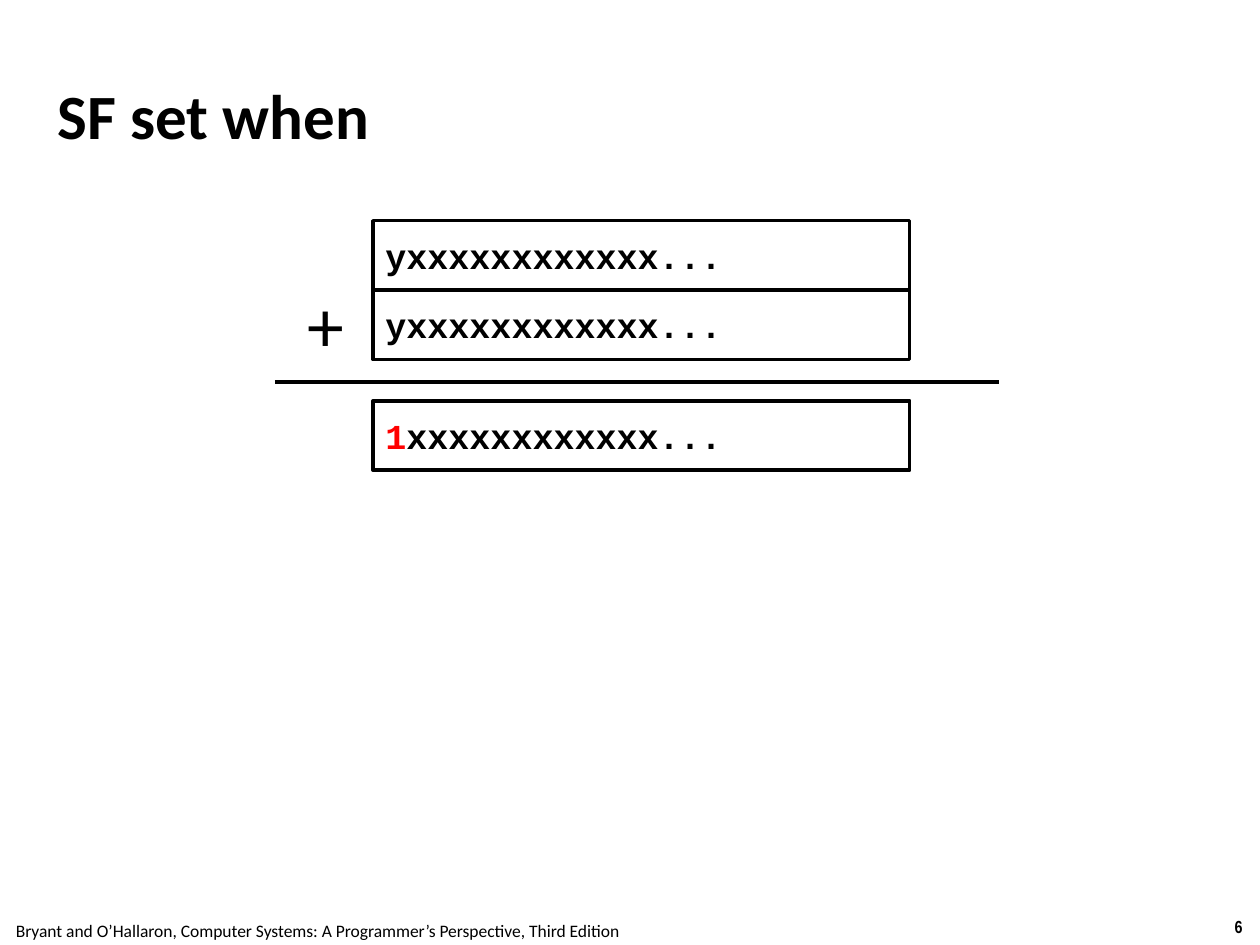
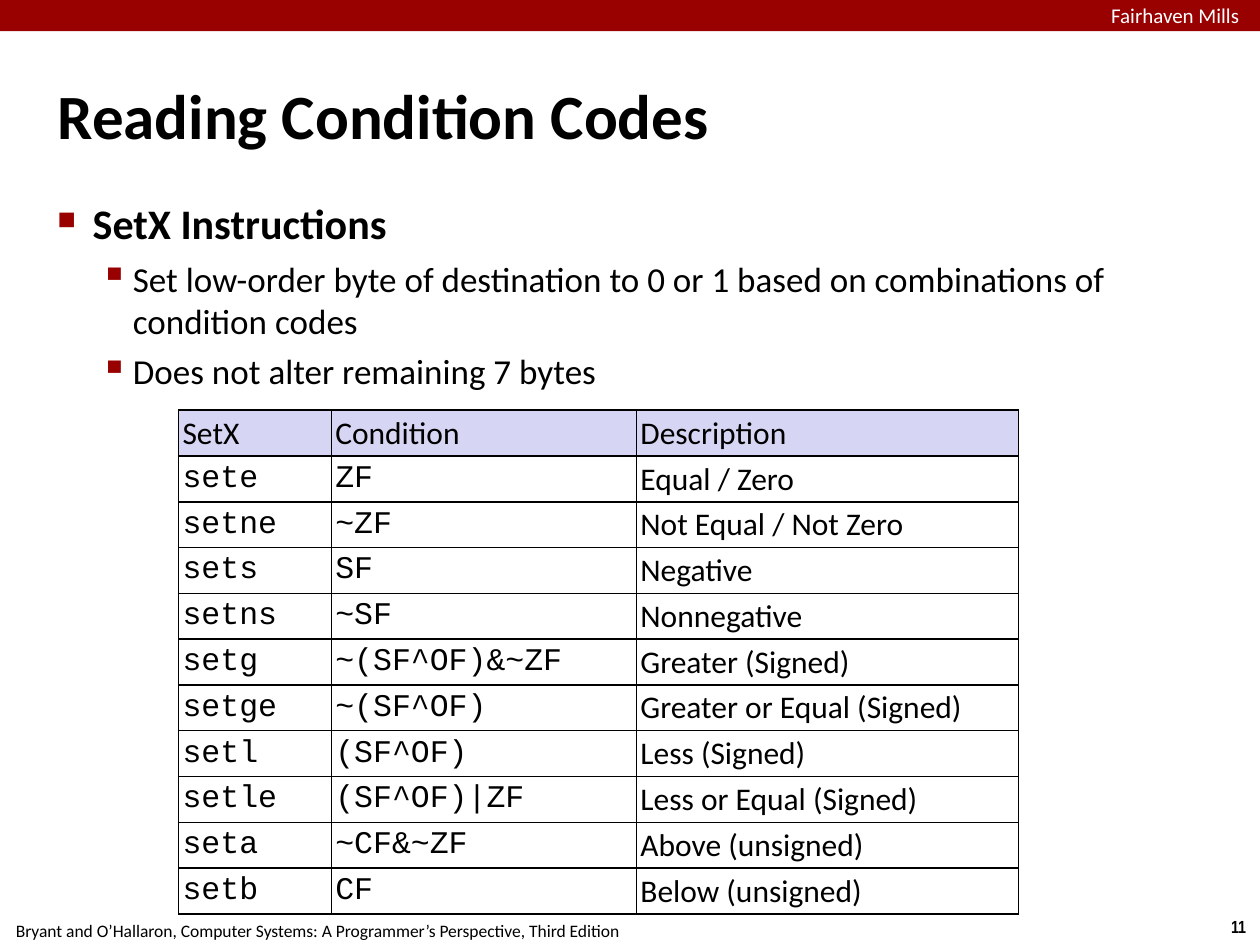
from lxml import etree
from pptx import Presentation
from pptx.dml.color import RGBColor
from pptx.enum import shapes, text
from pptx.oxml.ns import qn
from pptx.util import Cm, Pt

BLACK = RGBColor(0x00, 0x00, 0x00)
WHITE = RGBColor(0xFF, 0xFF, 0xFF)
RED = RGBColor(0xFF, 0x00, 0x00)
CRIMSON = RGBColor(0x99, 0x00, 0x00)
LAVENDER = RGBColor(0xD6, 0xD6, 0xF4)

SANS = "Calibri"
NARROW = "Arial Narrow"
MONO = "Courier New"

SLIDE_WIDTH, SLIDE_HEIGHT = Cm(25.4), Cm(19.05)
CITATION = ("Bryant and O’Hallaron, Computer Systems: "
            "A Programmer’s Perspective, Third Edition")
SCHOOL = "Fairhaven Mills"

OPERAND = "yxxxxxxxxxxxx..."
REGISTER_LEFT, REGISTER_WIDTH, REGISTER_HEIGHT = 7.52, 10.82, 1.4

# Level settings: size, bold, space before, left margin, hanging, bullet, bullet %
BULLET_LEVELS = [
    (24, True, 6, Cm(0.71), Cm(0.71), "■", 60),
    (20, False, 5, Cm(1.52), Cm(0.66), "▪", 110),
]
INSTRUCTION_NOTES = [
    (0, "SetX Instructions"),
    (1, "Set low-order byte of destination to 0 or 1 based on "
        "combinations of condition codes"),
    (1, "Does not alter remaining 7 bytes"),
]

SETX_COLUMNS = [Cm(3.08), Cm(6.15), Cm(7.7)]
SETX_ROW_HEIGHT = Cm(0.9)
SETX_ROWS = [
    ("SetX", "Condition", "Description"),
    ("sete", "ZF", "Equal / Zero"),
    ("setne", "~ZF", "Not Equal / Not Zero"),
    ("sets", "SF", "Negative"),
    ("setns", "~SF", "Nonnegative"),
    ("setg", "~(SF^OF)&~ZF", "Greater (Signed)"),
    ("setge", "~(SF^OF)", "Greater or Equal (Signed)"),
    ("setl", "(SF^OF)", "Less (Signed)"),
    ("setle", "(SF^OF)|ZF", "Less or Equal (Signed)"),
    ("seta", "~CF&~ZF", "Above (unsigned)"),
    ("setb", "CF", "Below (unsigned)"),
]


def set_font(font, size, name=SANS, color=BLACK, bold=False):
    font.size, font.name, font.bold = Pt(size), name, bold
    font.color.rgb = color


def set_margins(holder, margin):
    """Give a text frame or a table cell the same margin on all sides."""
    holder.margin_left = holder.margin_right = margin
    holder.margin_top = holder.margin_bottom = margin


def add_label(slide, words, left, top, width, height, size, name=SANS,
              color=BLACK, bold=False, align=text.PP_ALIGN.CENTER,
              wrap=True, margin=None):
    box = slide.shapes.add_textbox(Cm(left), Cm(top), Cm(width), Cm(height))
    frame = box.text_frame
    frame.word_wrap = wrap
    if margin is not None:
        set_margins(frame, margin)
    paragraph = frame.paragraphs[0]
    paragraph.text = words
    paragraph.alignment = align
    set_font(paragraph.font, size, name, color, bold)


def add_titled_slide(deck, heading, number):
    """Add a slide with its title, page number and citation."""
    slide = deck.slides.add_slide(deck.slide_layouts[5])
    title = slide.shapes.title
    title.left, title.top = Cm(1.06), Cm(0.71)
    title.width, title.height = Cm(23.3), Cm(3.17)
    frame = title.text_frame
    frame.text = heading
    frame.vertical_anchor = text.MSO_ANCHOR.MIDDLE
    set_margins(frame, Cm(0.1))
    paragraph = frame.paragraphs[0]
    paragraph.alignment = text.PP_ALIGN.LEFT
    set_font(paragraph.font, 36, bold=True)

    add_label(slide, str(number), 24.54, 18.34, 0.86, 0.69, 10,
              name=NARROW, bold=True, wrap=False)
    add_label(slide, CITATION, -0.05, 18.42, 12.9, 0.69, 10, wrap=False)
    return slide


def add_school_band(slide):
    band = slide.shapes.add_shape(shapes.MSO_SHAPE.RECTANGLE, 0, 0,
                                  SLIDE_WIDTH, Cm(0.63))
    band.shadow.inherit = False
    band.fill.solid()
    band.fill.fore_color.rgb = CRIMSON
    band.line.fill.background()
    add_label(slide, SCHOOL, 22.4, 0.05, 2.95, 0.48, 12, color=WHITE,
              align=text.PP_ALIGN.LEFT, margin=0)


def add_register(slide, top, bits, sign_color=BLACK):
    """Draw a row of bits whose first one, the sign, has its own colour."""
    register = slide.shapes.add_shape(
        shapes.MSO_SHAPE.RECTANGLE, Cm(REGISTER_LEFT), Cm(top),
        Cm(REGISTER_WIDTH), Cm(REGISTER_HEIGHT))
    register.shadow.inherit = False
    register.fill.background()
    register.line.color.rgb = BLACK
    register.line.width = Pt(2)
    frame = register.text_frame
    frame.vertical_anchor = text.MSO_ANCHOR.MIDDLE
    paragraph = frame.paragraphs[0]
    paragraph.alignment = text.PP_ALIGN.LEFT
    set_font(paragraph.font, 20, MONO, bold=True)
    for part, color in ((bits[0], sign_color), (bits[1:], BLACK)):
        run = paragraph.add_run()
        run.text = part
        run.font.color.rgb = color


def add_sum_line(slide, left, right, y):
    line = slide.shapes.add_connector(shapes.MSO_CONNECTOR.STRAIGHT,
                                      Cm(left), Cm(y), Cm(right), Cm(y))
    line.line.color.rgb = BLACK
    line.line.width = Pt(2)
    etree.SubElement(line._element.spPr, qn("a:effectLst"))


def set_bullet(paragraph, margin, hanging, symbol, percent):
    props = paragraph._p.get_or_add_pPr()
    props.set("marL", str(margin))
    props.set("indent", str(-hanging))
    bullet = [etree.Element(qn("a:buClr")),
              etree.Element(qn("a:buSzPct"), val=str(percent * 1000)),
              etree.Element(qn("a:buChar"), char=symbol)]
    etree.SubElement(bullet[0], qn("a:srgbClr"), val=str(CRIMSON))
    font_props = props.find(qn("a:defRPr"))
    for part in bullet:
        font_props.addprevious(part)


def add_bullets(slide, notes):
    box = slide.shapes.add_textbox(Cm(1.06), Cm(3.89), Cm(23.3), Cm(15.09))
    frame = box.text_frame
    frame.word_wrap = True
    set_margins(frame, Cm(0.1))
    for index, (level, words) in enumerate(notes):
        paragraph = frame.add_paragraph() if index else frame.paragraphs[0]
        size, bold, space, *bullet = BULLET_LEVELS[level]
        paragraph.text = words
        paragraph.level = level
        paragraph.space_before = Pt(space)
        set_font(paragraph.font, size, bold=bold)
        set_bullet(paragraph, *bullet)


def set_borders(cell):
    props = cell._tc.get_or_add_tcPr()
    for index, side in enumerate(("a:lnL", "a:lnR", "a:lnT", "a:lnB")):
        border = etree.Element(qn(side), w=str(Pt(1)))
        fill = etree.SubElement(border, qn("a:solidFill"))
        etree.SubElement(fill, qn("a:srgbClr"), val=str(BLACK))
        props.insert(index, border)


def add_setx_table(slide):
    table = slide.shapes.add_table(
        len(SETX_ROWS), len(SETX_COLUMNS), Cm(3.6), Cm(8.27),
        sum(SETX_COLUMNS), SETX_ROW_HEIGHT * len(SETX_ROWS)).table
    table.first_row = table.horz_banding = False
    for column, width in zip(table.columns, SETX_COLUMNS):
        column.width = width
    for r, row in enumerate(SETX_ROWS):
        for c, words in enumerate(row):
            cell = table.cell(r, c)
            cell.vertical_anchor = text.MSO_ANCHOR.MIDDLE
            set_margins(cell, Cm(0.08))
            paragraph = cell.text_frame.paragraphs[0]
            paragraph.text = words
            is_code = r > 0 and c < 2
            set_font(paragraph.font, 18, MONO if is_code else SANS)
            if r == 0:
                cell.fill.solid()
                cell.fill.fore_color.rgb = LAVENDER
            else:
                cell.fill.background()
            set_borders(cell)


def build_sign_flag_slide(deck):
    slide = add_titled_slide(deck, "SF set when", 6)
    first_top = 4.45
    for index in range(2):
        add_register(slide, first_top + index * REGISTER_HEIGHT, OPERAND)
    add_label(slide, "+", 5.94, 5.51, 1.27, 2.06, 42)
    add_sum_line(slide, 5.54, 20.14, 7.7)
    add_register(slide, 8.08, "1" + OPERAND[1:], RED)


def build_condition_codes_slide(deck):
    slide = add_titled_slide(deck, "Reading Condition Codes", 11)
    add_school_band(slide)
    add_bullets(slide, INSTRUCTION_NOTES)
    add_setx_table(slide)


def main():
    deck = Presentation()
    deck.slide_width, deck.slide_height = SLIDE_WIDTH, SLIDE_HEIGHT
    build_sign_flag_slide(deck)
    build_condition_codes_slide(deck)
    deck.save("out.pptx")


if __name__ == "__main__":
    main()
